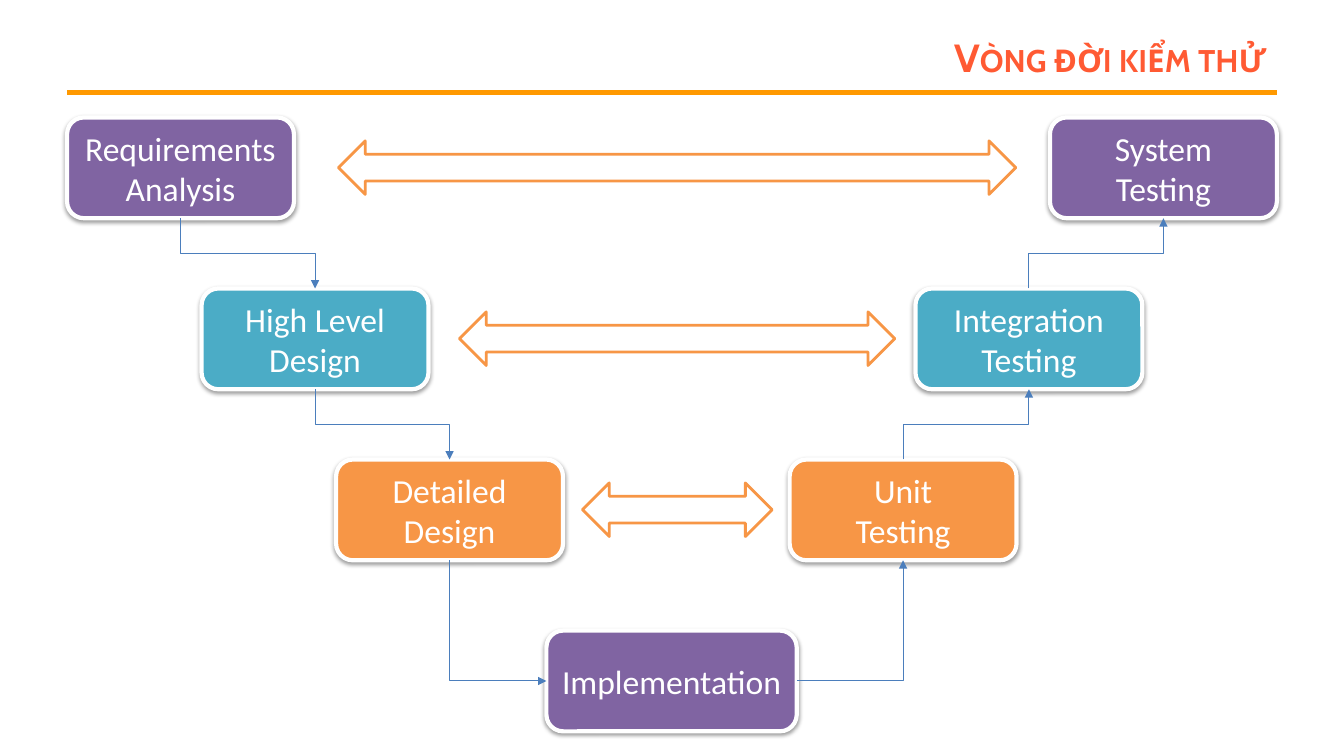
from dataclasses import dataclass
from lxml.etree import SubElement as Sub
from pptx import Presentation
from pptx.dml.color import RGBColor as Rgb
from pptx.enum.shapes import MSO_CONNECTOR as Conn, MSO_SHAPE as Kind
from pptx.enum.text import MSO_ANCHOR as Anchor, MSO_AUTO_SIZE as Fit, PP_ALIGN as Align
from pptx.oxml.ns import qn
from pptx.util import Cm, Pt


@dataclass(frozen=True)
class Theme:
    title: str = "FF5A33"
    rule: str = "FF9900"
    purple: str = "8064A2"
    teal: str = "4BACC6"
    orange: str = "F79646"
    link: str = "4B7EBC"
    white: str = "FFFFFF"
    shade: str = "000000"
    head: str = "Cabin"
    body: str = "Calibri"
    big: int = 28
    text: int = 24


TOP, SIDE, UP, LEFT, DOWN, RIGHT = 2.96, 1.69, 0, 1, 2, 3
STEP, WIDE, HIGH = 4.31, 5.72, 2.54


def apply(item, values):
    for name, value in values.items():
        setattr(item, name, value)


class Board:
    def __init__(self, slide, theme):
        self.slide, self.theme = slide, theme

    def place(self, item, x, y, w, h):
        apply(item, {"left": Cm(x), "top": Cm(y), "width": Cm(w), "height": Cm(h)})

    def label(self, item, words, font, color, align):
        frame = item.text_frame
        frame.text = words
        apply(frame, {"word_wrap": True, "auto_size": Fit.NONE,
                      "vertical_anchor": Anchor.MIDDLE})
        for para in frame.paragraphs:
            para.alignment = align
            for run in para.runs:
                apply(run.font, font)
                run.font.color.rgb = Rgb.from_string(color)

    def stroke(self, item, color, width):
        item.line.color.rgb = Rgb.from_string(color)
        item.line.width = Pt(width)

    def title(self, words):
        look = self.theme
        item = self.slide.shapes.title
        self.place(item, 7.62, 0.76, 24.55, 1.35)
        font = {"name": look.head, "size": Pt(look.big), "bold": True}
        self.label(item, words, font, look.title, Align.RIGHT)
        for run in item.text_frame.paragraphs[0].runs:
            run.font._element.set("cap", "small")

    def wire(self, kind, ends, color, width):
        item = self.slide.shapes.add_connector(kind, *map(Cm, ends))
        self.stroke(item, color, width)
        Sub(item._element.spPr, qn("a:effectLst"))
        return item

    def shape(self, kind, spot, fill, color, width):
        item = self.slide.shapes.add_shape(kind, *map(Cm, spot))
        item.shadow.inherit = False
        item.fill.solid()
        item.fill.fore_color.rgb = Rgb.from_string(fill)
        self.stroke(item, color, width)
        return item

    def box(self, words, x, row, fill, wide=WIDE):
        look = self.theme
        item = self.shape(Kind.ROUNDED_RECTANGLE, (x, TOP + row * STEP, wide, HIGH),
                          fill, look.white, 3)
        font = {"name": look.body, "size": Pt(look.text)}
        self.label(item, words, font, look.white, Align.CENTER)
        glow = Sub(item._element.spPr.find(qn("a:effectLst")), qn("a:outerShdw"),
                   blurRad=str(Pt(3.1)), dist=str(Pt(1.6)), dir="5400000", rotWithShape="0")
        tone = Sub(glow, qn("a:srgbClr"), val=look.shade)
        Sub(tone, qn("a:alpha"), val="38000")
        return item

    def arrow(self, x, row, wide):
        look = self.theme
        self.shape(Kind.LEFT_RIGHT_ARROW, (x, TOP + row * STEP + 0.59, wide, 1.35),
                   look.white, look.orange, 2)

    def link(self, start, out, end, into):
        item = self.wire(Conn.ELBOW, (0, 0, 0, 0), self.theme.link, 0.75)
        item.begin_connect(start, out)
        item.end_connect(end, into)
        props = item._element.spPr
        if out != RIGHT:
            self.turn(item, props.find(qn("a:xfrm")))
        if LEFT in (out, into) or RIGHT in (out, into):
            props.find(qn("a:prstGeom")).set("prst", "bentConnector2")
        Sub(props.find(qn("a:ln")), qn("a:tailEnd"), type="triangle")

    def turn(self, item, frame):
        wide, high = item.width, item.height
        down = item.end_y > item.begin_y
        shift = (wide - high) // 2
        apply(item, {"left": item.left + shift, "top": item.top - shift,
                     "width": high, "height": wide})
        frame.set("rot", "16200000" if down else "5400000")
        frame.set("flipH", "1")
        frame.set("flipV", "0" if down else "1")


def main():
    deck = Presentation()
    apply(deck, {"slide_width": Cm(33.87), "slide_height": Cm(19.05)})
    look = Theme()
    board = Board(deck.slides.add_slide(deck.slide_layouts[5]), look)
    board.title("Vòng đời kiểm thử")
    board.wire(Conn.STRAIGHT, (SIDE, 2.33, 32.17, 2.33), look.rule, 3)

    levels = [
        ("Requirements\nAnalysis", "System\nTesting", 26.46, look.purple, 8.53, 17.07),
        ("High Level Design", "Integration Testing", 23.07, look.teal, 11.58, 10.97),
        ("Detailed Design", "Unit\nTesting", 19.9, look.orange, 14.68, 4.78),
    ]
    plans, tests = [], []
    for row, (plan, test, x, fill, start, wide) in enumerate(levels):
        plans.append(board.box(plan, SIDE + row * 3.39, row, fill))
        tests.append(board.box(test, x, row, fill))
        board.arrow(start, row, wide)
    build = board.box("Implementation", 13.77, len(levels), look.purple, 6.31)

    for first, second in zip(plans, plans[1:]):
        board.link(first, DOWN, second, UP)
    board.link(plans[-1], DOWN, build, LEFT)
    board.link(build, RIGHT, tests[-1], DOWN)
    for upper, lower in zip(tests, tests[1:]):
        board.link(lower, UP, upper, DOWN)
    deck.save("out.pptx")


if __name__ == "__main__":
    main()
